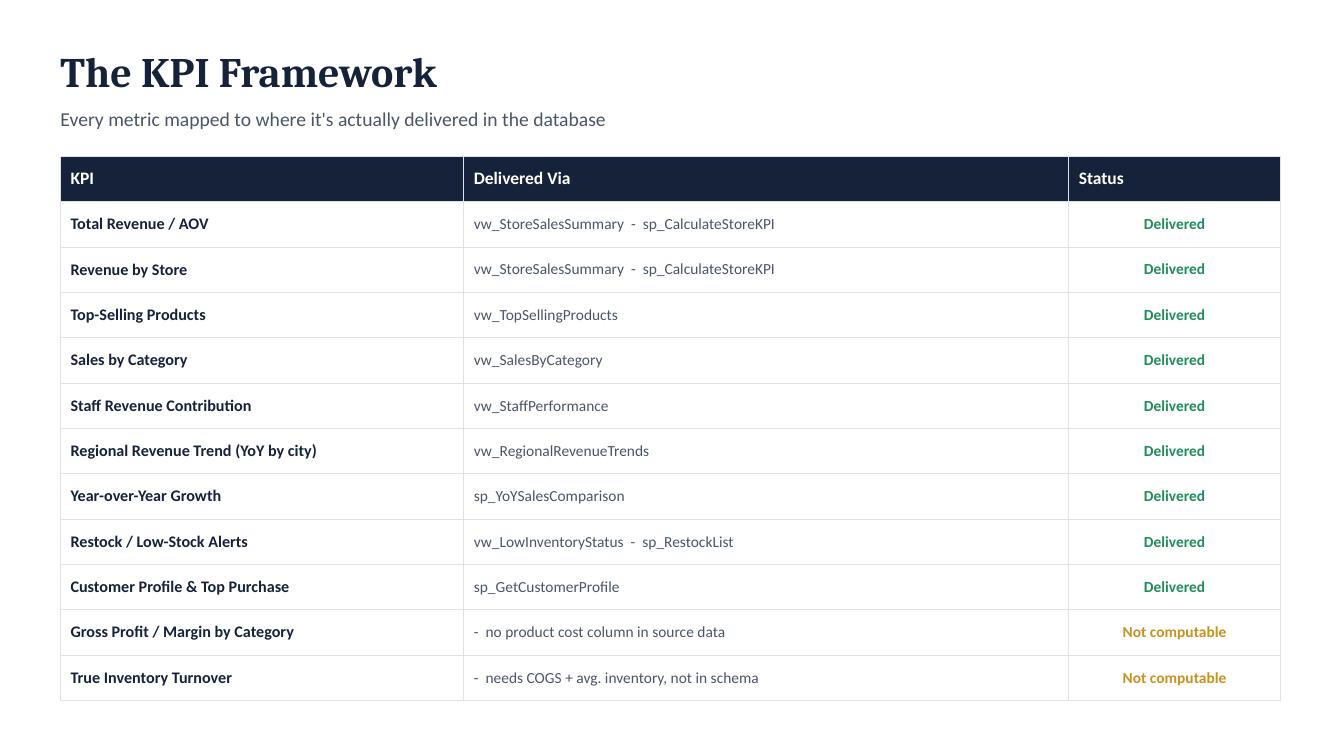
from lxml import etree
from pptx import Presentation
from pptx.dml.color import RGBColor
from pptx.enum.text import MSO_ANCHOR, MSO_AUTO_SIZE, PP_ALIGN
from pptx.oxml.ns import qn
from pptx.util import Inches, Pt

NAVY, SLATE, WHITE, GRID = "16223A", "4A5568", "FFFFFF", "DCE3ED"
STATUS_COLORS = {"Delivered": "1E8E5A", "Not computable": "C9911D"}


def rgb(value):
    return RGBColor.from_string(value)


class KpiSlide:
    heading_font, body_font = "Cambria", "Calibri"
    left, text_width = 0.6, 11

    def __init__(self, prs):
        self.slide = prs.slides.add_slide(prs.slide_layouts[5])
        self.slide.background.fill.solid()
        self.slide.background.fill.fore_color.rgb = rgb(WHITE)

    def add_text(self, frame, text, size, color, bold=False, font=None,
                 align=PP_ALIGN.LEFT):
        paragraph = frame.paragraphs[0]
        paragraph.alignment = align
        run = paragraph.add_run()
        run.text = text
        run.font.name = font or self.body_font
        run.font.size = Pt(size)
        run.font.bold = bold
        run.font.color.rgb = rgb(color)

    def place(self, shape, top, height):
        shape.left, shape.top = Inches(self.left), Inches(top)
        shape.width, shape.height = Inches(self.text_width), Inches(height)
        frame = shape.text_frame
        frame.word_wrap = True
        frame.auto_size = MSO_AUTO_SIZE.NONE
        frame.vertical_anchor = MSO_ANCHOR.MIDDLE
        frame.margin_left = frame.margin_right = 0
        frame.margin_top = frame.margin_bottom = 0
        return frame

    def title(self, text, top, height):
        frame = self.place(self.slide.shapes.title, top, height)
        self.add_text(frame, text, 30, NAVY, True, self.heading_font)

    def subtitle(self, text, top, height):
        box = self.slide.shapes.add_textbox(0, 0, 0, 0)
        self.add_text(self.place(box, top, height), text, 14, SLATE)

    def cell(self, cell, text, size, color, bold=False, fill=WHITE,
             align=PP_ALIGN.LEFT):
        cell.vertical_anchor = MSO_ANCHOR.MIDDLE
        self.add_text(cell.text_frame, text, size, color, bold, align=align)
        cell.fill.solid()
        cell.fill.fore_color.rgb = rgb(fill)
        # Borders come before the fill in the cell properties
        props = cell._tc.get_or_add_tcPr()
        for index, side in enumerate(("lnL", "lnR", "lnT", "lnB")):
            line = etree.Element(qn(f"a:{side}"), w=str(Pt(0.75)))
            solid = etree.SubElement(line, qn("a:solidFill"))
            etree.SubElement(solid, qn("a:srgbClr"), val=GRID)
            props.insert(index, line)

    def table(self, headers, rows, top, widths, row_height):
        count = len(rows) + 1
        table = self.slide.shapes.add_table(
            count, len(headers), Inches(self.left), Inches(top),
            Inches(sum(widths)), Inches(row_height * count)).table
        table.horz_banding = False
        for column, width in zip(table.columns, widths):
            column.width = Inches(width)
        for row in table.rows:
            row.height = Inches(row_height)
        for column, header in enumerate(headers):
            self.cell(table.cell(0, column), header, 12.5, WHITE, True, NAVY)
        for index, (kpi, source, status) in enumerate(rows, 1):
            self.cell(table.cell(index, 0), kpi, 11.5, NAVY, True)
            self.cell(table.cell(index, 1), source, 11, SLATE)
            self.cell(table.cell(index, 2), status, 11, STATUS_COLORS[status],
                      True, align=PP_ALIGN.CENTER)


# Content
DONE, MISSING = STATUS_COLORS
STORE_SOURCE = "vw_StoreSalesSummary  -  sp_CalculateStoreKPI"
KPIS = [
    ("Total Revenue / AOV", STORE_SOURCE, DONE),
    ("Revenue by Store", STORE_SOURCE, DONE),
    ("Top-Selling Products", "vw_TopSellingProducts", DONE),
    ("Sales by Category", "vw_SalesByCategory", DONE),
    ("Staff Revenue Contribution", "vw_StaffPerformance", DONE),
    ("Regional Revenue Trend (YoY by city)", "vw_RegionalRevenueTrends", DONE),
    ("Year-over-Year Growth", "sp_YoYSalesComparison", DONE),
    ("Restock / Low-Stock Alerts",
     "vw_LowInventoryStatus  -  sp_RestockList", DONE),
    ("Customer Profile & Top Purchase", "sp_GetCustomerProfile", DONE),
    ("Gross Profit / Margin by Category",
     "-  no product cost column in source data", MISSING),
    ("True Inventory Turnover",
     "-  needs COGS + avg. inventory, not in schema", MISSING),
]

prs = Presentation()
prs.slide_width, prs.slide_height = Inches(13.33), Inches(7.5)
page = KpiSlide(prs)

# Heading
page.title("The KPI Framework", 0.4, 0.6)
page.subtitle("Every metric mapped to where it's actually delivered "
              "in the database", 0.98, 0.4)

# KPI table
page.table(("KPI", "Delivered Via", "Status"), KPIS, 1.55, (4, 6, 2.1), 0.45)

prs.save("out.pptx")
